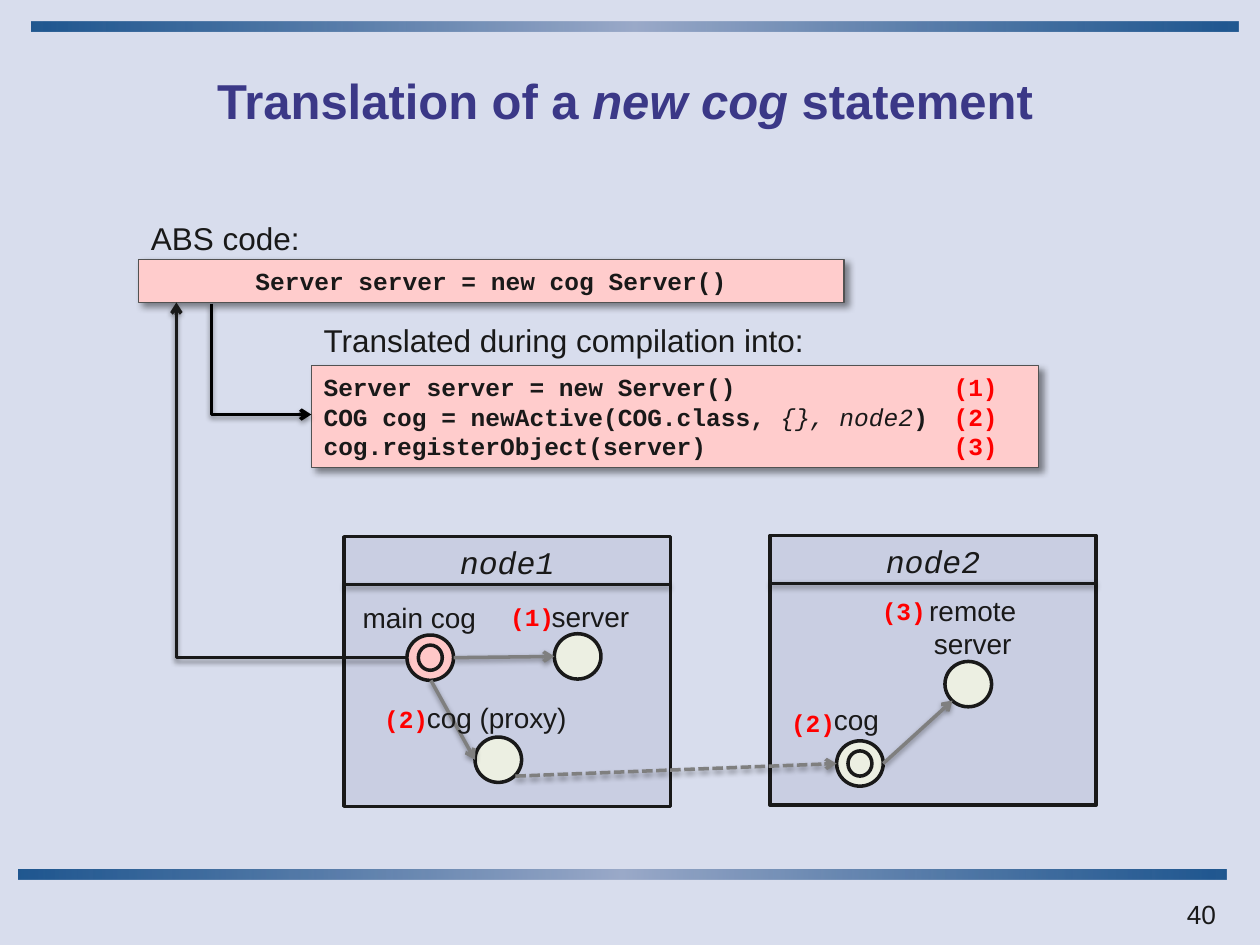
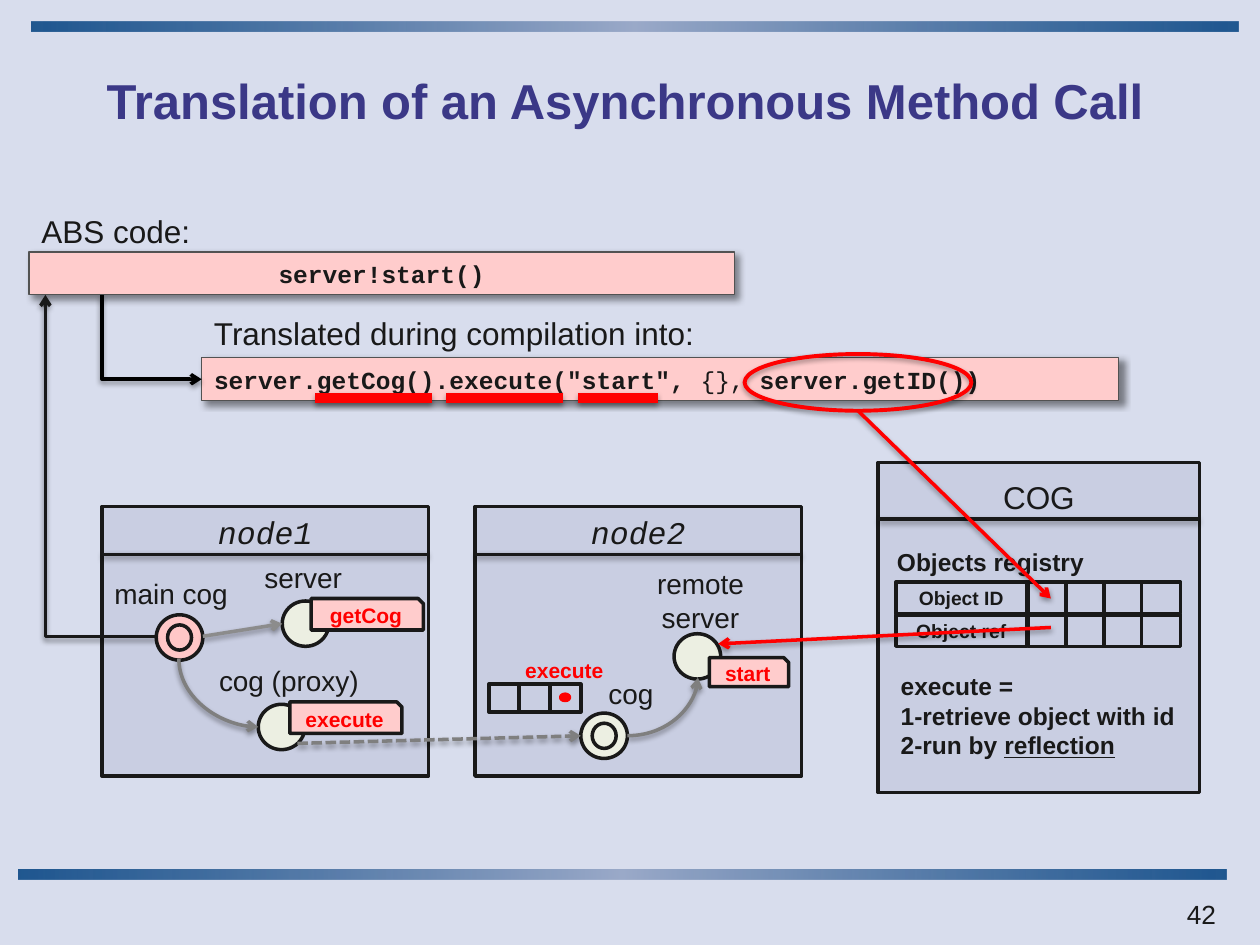
"""Build two slides on how cog statements are translated."""
from lxml import etree
from pptx import Presentation
from pptx.dml.color import RGBColor
from pptx.enum.dml import MSO_LINE
from pptx.enum.shapes import MSO_CONNECTOR, MSO_SHAPE
from pptx.enum.text import MSO_ANCHOR, MSO_AUTO_SIZE, PP_ALIGN
from pptx.oxml import parse_xml
from pptx.oxml.ns import qn
from pptx.util import Inches, Pt

RECT, OVAL, SNIP = MSO_SHAPE.RECTANGLE, MSO_SHAPE.OVAL, MSO_SHAPE.SNIP_1_RECTANGLE
LEFT, MID, RIGHT = PP_ALIGN.LEFT, PP_ALIGN.CENTER, PP_ALIGN.RIGHT
TOP, CORE = MSO_ANCHOR.TOP, MSO_ANCHOR.MIDDLE
LINE, DASH = MSO_CONNECTOR.STRAIGHT, MSO_LINE.SQUARE_DOT
FIT, FIXED = MSO_AUTO_SIZE.SHAPE_TO_FIT_TEXT, MSO_AUTO_SIZE.NONE
SANS, MONO = "Arial", "Courier New"
HUES = {
    "page": "D8DDED", "edge": "004080", "glow": "9BAAC9", "title": "3B3887",
    "ink": "191919", "black": "000000", "gray": "7F7F7F", "pale": "8C8C8C",
    "red": "FF0000", "code": "FFCCCC", "rim": "525252", "node": "C9CEE2",
    "main": "FFC7C7", "dot": "ECEFE2",
}
SHADE = (
    '<a:outerShdw xmlns:a="http://schemas.openxmlformats.org/drawingml/2006/main"'
    ' blurRad="{}" dist="{}" dir="{}" algn="ctr" rotWithShape="0">'
    '<a:srgbClr val="000000"><a:alpha val="{}"/></a:srgbClr></a:outerShdw>'
)
DEEP = SHADE.format(Pt(4), Pt(3), 2700000, 43000)
SOFT = SHADE.format(Pt(3.1), Pt(1.6), 5400000, 38000)


def box(slide, x, y, w, h, lines=(), kind=RECT, fill=None, line=None, weight=2,
        size=16, font=SANS, ink="ink", align=MID, anchor=CORE, shade=None):
    place = [Inches(n) for n in (x, y, w, h)]
    if kind == "title":
        shape = slide.shapes.title
        shape.left, shape.top, shape.width, shape.height = place
    elif kind is None:
        shape = slide.shapes.add_textbox(*place)
    else:
        shape = slide.shapes.add_shape(kind, *place)
        shape.shadow.inherit = False
        if fill:
            shape.fill.solid()
            shape.fill.fore_color.rgb = RGBColor.from_string(HUES[fill])
        else:
            shape.fill.background()
        if line:
            shape.line.color.rgb = RGBColor.from_string(HUES[line])
            shape.line.width = Pt(weight)
        else:
            shape.line.fill.background()
        if shade:
            shape.element.spPr.find(qn("a:effectLst")).append(parse_xml(shade))
    frame = shape.text_frame
    frame.word_wrap = kind is not None
    frame.auto_size = FIT if kind is None else FIXED
    frame.vertical_anchor = anchor
    for i, runs in enumerate(lines):
        para = frame.add_paragraph() if i else frame.paragraphs[0]
        para.alignment = align
        for text, marks in runs:
            run = para.add_run()
            run.text = text
            run.font.name, run.font.size = font, Pt(size)
            run.font.bold, run.font.italic = "b" in marks, "i" in marks
            run.font.underline = "u" in marks
            hue = "red" if "r" in marks else ink
            run.font.color.rgb = RGBColor.from_string(HUES[hue])
    return shape


def wire(slide, x1, y1, x2, y2, hue="gray", weight=2, arrow=True, dash=None,
         bend=None, turn=0):
    link = slide.shapes.add_connector(LINE, *[Inches(n) for n in (x1, y1, x2, y2)])
    props = link.element.spPr
    if bend:
        props.find(qn("a:prstGeom")).set("prst", bend)
    if turn:
        form = props.find(qn("a:xfrm"))
        for flip in ("flipH", "flipV"):
            form.attrib.pop(flip, None)
        form.set("rot", str(turn * 60000))
        if turn == 270:
            form.set("flipH", "1")
            wide, high = link.height, link.width
            link.left += (link.width - wide) // 2
            link.top += (link.height - high) // 2
            link.width, link.height = wide, high
    link.line.color.rgb = RGBColor.from_string(HUES[hue])
    link.line.width = Pt(weight)
    if dash:
        link.line.dash_style = dash
    if arrow:
        etree.SubElement(props.find(qn("a:ln")), qn("a:tailEnd")).set("type", "arrow")
    etree.SubElement(props, qn("a:effectLst")).append(parse_xml(SOFT))


deck = Presentation()
deck.slide_width, deck.slide_height = Inches(10), Inches(7.5)
back = deck.slide_master.background.fill
back.solid()
back.fore_color.rgb = RGBColor.from_string(HUES["page"])

pages = [
    ("40", [("Translation of a ", "b"), ("new cog ", "bi"), ("statement", "b")],
     1.1, 1.69, "Server server = new cog Server()", 5.77, 0.81, [
         [("Server server = new Server()\t", "b"), ("(1)", "br")],
         [("COG cog = newActive(COG.class, ", "b"), ("{}, node2", "i"),
          (")\t", "b"), ("(2)", "br")],
         [("cog.registerObject(server)\t", "b"), ("(3)", "br")]]),
    ("42", [("Translation of an Asynchronous Method Call", "b")],
     0.23, 1.63, "server!start()", 7.28, 0.34, [
         [('server.getCog().execute("start", ', "b"), ("{}, ", ""),
          ("server.getID())", "b")]]),
]
slides = []
for number, title, x, y, source, wide, high, result in pages:
    slide = deck.slides.add_slide(deck.slide_layouts[5])
    slides.append(slide)
    for left, top in ((0.25, 0.17), (0.15, 6.9)):
        band = box(slide, left, top, 9.58, 0.08, fill="edge")
        band.fill.gradient()
        band.fill.gradient_angle = 0
        stops = band.element.spPr.find(".//" + qn("a:gsLst"))
        stops.clear()
        for spot, hue, alpha in ((0, "edge", 85), (50, "glow", 100), (100, "edge", 85)):
            stop = etree.SubElement(stops, qn("a:gs"), pos=str(spot * 1000))
            tone = etree.SubElement(stop, qn("a:srgbClr"), val=HUES[hue])
            etree.SubElement(tone, qn("a:alpha"), val=str(alpha * 1000))
    box(slide, 0.44, 0.33, 9.04, 0.92, [title], "title", size=28, ink="title")
    box(slide, x, y, 1.46, 0.4, [[("ABS code:", "")]], None, size=18, align=LEFT,
        anchor=TOP)
    box(slide, x, y + 0.37, 5.6, 0.34, [[(source, "b")]], fill="code", line="rim",
        weight=0.75, size=14, font=MONO, shade=DEEP)
    box(slide, x + 1.37, y + 0.81, 4.43, 0.4,
        [[("Translated during compilation into:", "")]], None, size=18, align=LEFT,
        anchor=TOP)
    code = box(slide, x + 1.37, y + 1.21, wide, high, result, fill="code", line="rim",
               weight=0.75, size=14, font=MONO, align=LEFT, shade=DEEP)
    for para in code.text_frame.paragraphs:
        if "\t" in para.text:
            tabs = etree.SubElement(para._p.get_or_add_pPr(), qn("a:tabLst"))
            etree.SubElement(tabs, qn("a:tab"), pos=str(Inches(5)), algn="l")
    page = box(slide, 7.92, 7.08, 1.83, 0.25, [[(number, "")]], None, size=15,
               align=RIGHT, anchor=TOP)
    page.text_frame.word_wrap = True
    page.text_frame.auto_size = FIXED
make, call = slides

panels = [
    (make, 2.73, 4.26, 2.59, 2.14, "node1", 0.38),
    (make, 6.11, 4.25, 2.59, 2.14, "node2", 0.38),
    (call, 0.81, 4.02, 2.59, 2.14, "node1", 0.38),
    (call, 3.77, 4.02, 2.59, 2.14, "node2", 0.38),
    (call, 6.97, 3.67, 2.55, 2.62, "COG", 0.45),
]
for slide, x, y, w, h, name, head in panels:
    cog = name == "COG"
    panel = box(slide, x, y, w, h, [[(name, "" if cog else "i")]], fill="node",
                line="ink", size=18, font=SANS if cog else MONO, anchor=TOP)
    panel.text_frame.margin_top = Inches(0.12 if cog else 0.05)
    wire(slide, x, y + head, x + w, y + head, "ink", arrow=False)

dots = [
    (make, 3.23, 5.04, "main", True), (make, 4.4, 5.03, "dot", False),
    (make, 3.77, 5.85, "dot", False), (make, 6.64, 5.88, "dot", True),
    (make, 7.5, 5.25, "dot", False),
    (call, 1.24, 4.88, "main", True), (call, 2.24, 4.77, "dot", False),
    (call, 2.05, 5.59, "dot", False), (call, 4.61, 5.66, "dot", True),
    (call, 5.35, 5.03, "dot", False),
]
for slide, x, y, fill, ring in dots:
    box(slide, x, y, 0.37, 0.36, kind=OVAL, fill=fill, line="ink")
    if ring:
        box(slide, x + 0.09, y + 0.08, 0.19, 0.2, kind=OVAL, line="ink")

wire(make, 3.6, 5.22, 4.4, 5.21)
wire(make, 3.42, 5.4, 3.77, 6.03)
wire(make, 4.09, 6.16, 6.64, 6.06, dash=DASH)
wire(make, 7.01, 6.06, 7.56, 5.56)
wire(make, 3.23, 5.22, 1.4, 2.4, "ink", bend="bentConnector2", turn=180)
wire(make, 1.68, 2.41, 2.47, 3.29, "black", bend="bentConnector2", turn=270)
wire(call, 2.36, 5.9, 4.61, 5.84, dash=DASH)
wire(call, 1.61, 5.05, 2.24, 4.95, "pale")
wire(call, 1.42, 5.23, 2.05, 5.77, bend="curvedConnector2", turn=270)
wire(call, 4.98, 5.84, 5.54, 5.38, bend="curvedConnector2")
wire(call, 1.24, 5.05, 0.36, 2.34, "ink", bend="bentConnector2", turn=180)
wire(call, 0.81, 2.34, 1.6, 3.01, "black", bend="bentConnector2", turn=270)

labels = [
    (make, 2.78, 4.72, 1.25, "main cog"), (make, 4.28, 4.71, 0.85, "server"),
    (make, 6.52, 5.53, 0.65, "cog"), (make, 3.29, 5.51, 1.47, "cog (proxy)"),
    (call, 0.81, 4.53, 1.25, "main cog"), (call, 2, 4.4, 0.85, "server"),
    (call, 4.73, 5.32, 0.65, "cog"), (call, 1.64, 5.22, 1.47, "cog (proxy)"),
]
for slide, x, y, w, text in labels:
    box(slide, x, y, w, 0.37, [[(text, "")]], None, align=LEFT, anchor=TOP)
for slide, x, y in ((make, 7.19, 4.66), (call, 5.03, 4.45)):
    box(slide, x, y, 1.06, 0.64, [[("remote", "")], [("server", "")]], None, anchor=TOP)
for x, y, step in ((3.95, 4.73, 1), (2.95, 5.54, 2), (6.18, 5.57, 2), (6.9, 4.68, 3)):
    box(make, x, y, 0.56, 0.34, [[(f"({step})", "br")]], None, size=14, font=MONO,
        align=LEFT, anchor=TOP)

for x, y, w, h, text in ((2.47, 4.75, 0.89, 0.25, "getCog"),
                         (2.3, 5.57, 0.89, 0.25, "execute"),
                         (5.63, 5.22, 0.63, 0.23, "start")):
    box(call, x, y, w, h, [[(text, "br")]], SNIP, "code", "ink", size=12)
for i in range(3):
    box(call, 3.88 + 0.245 * i, 5.43, 0.24, 0.22, fill="node", line="ink")
box(call, 4.45, 5.51, 0.07, 0.05, kind=OVAL, fill="red", line="red")
box(call, 4.07, 5.17, 0.88, 0.3, [[("execute", "br")]], None, size=12, align=LEFT,
    anchor=TOP)

for y, text in ((4.62, "Object ID"), (4.88, "Object ref")):
    box(call, 7.11, y, 1.04, 0.25, [[(text, "b")]], fill="node", line="ink", size=11)
    for i in range(4):
        box(call, 8.16 + 0.3 * i, y, 0.31, 0.25, fill="node", line="ink")
box(call, 7.02, 4.29, 1.69, 0.34, [[("Objects registry", "b")]], None, size=14,
    align=LEFT, anchor=TOP)
box(call, 7.05, 5.28, 2.43, 0.81,
    [[("execute =", "b")], [("1-retrieve object with id", "b")],
     [("2-run by ", "b"), ("reflection", "bu")]], None, size=14, align=LEFT, anchor=TOP)

box(call, 5.91, 2.81, 1.8, 0.45, kind=OVAL, line="red", weight=2.25, shade=SOFT)
for x1, x2 in ((2.5, 3.43), (3.54, 4.47), (4.59, 5.22)):
    wire(call, x1, 3.16, x2, 3.16, "red", 6, arrow=False)
wire(call, 6.81, 3.26, 8.34, 4.75, "red")
wire(call, 8.34, 4.98, 5.7, 5.11, "red")

deck.save("out.pptx")
